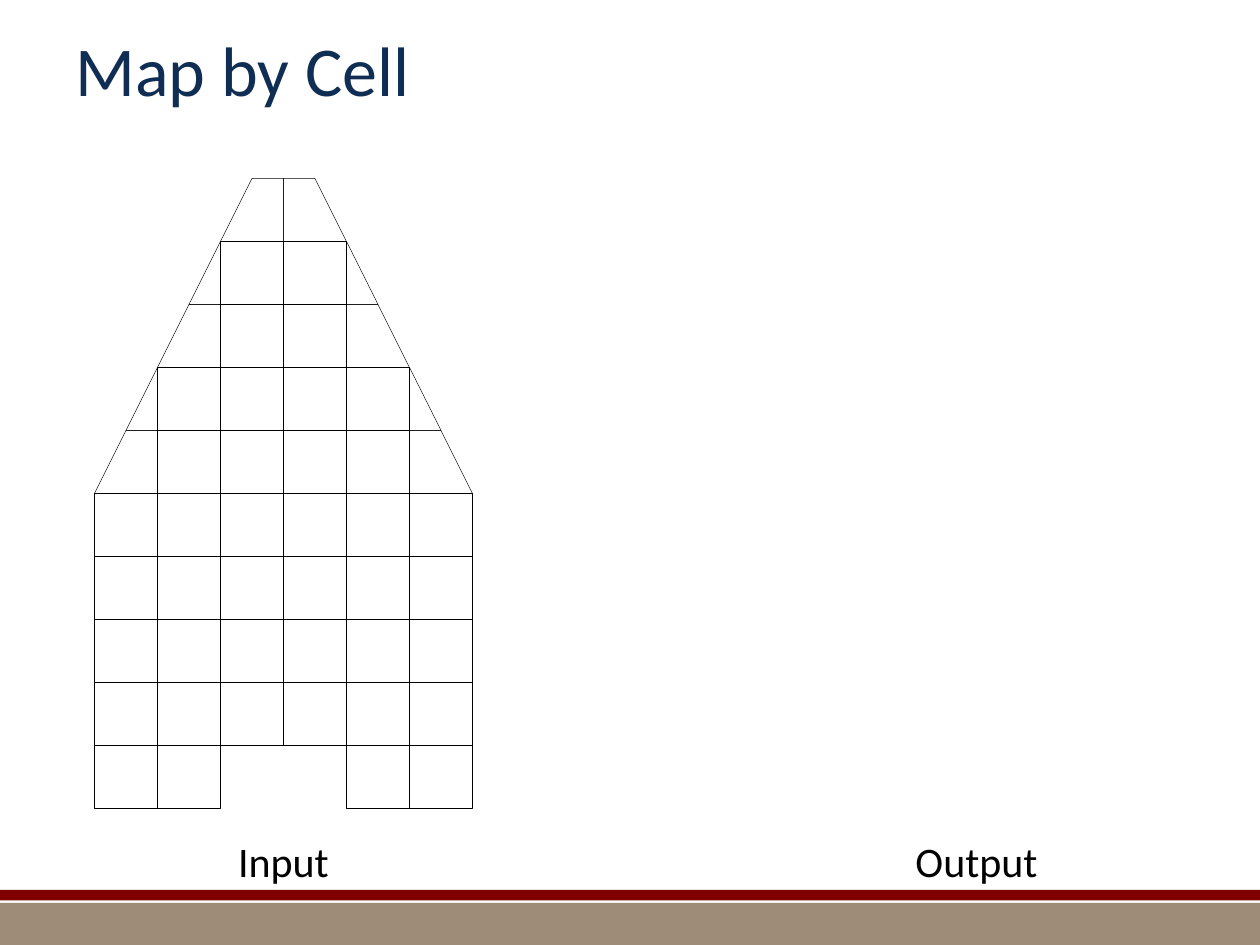
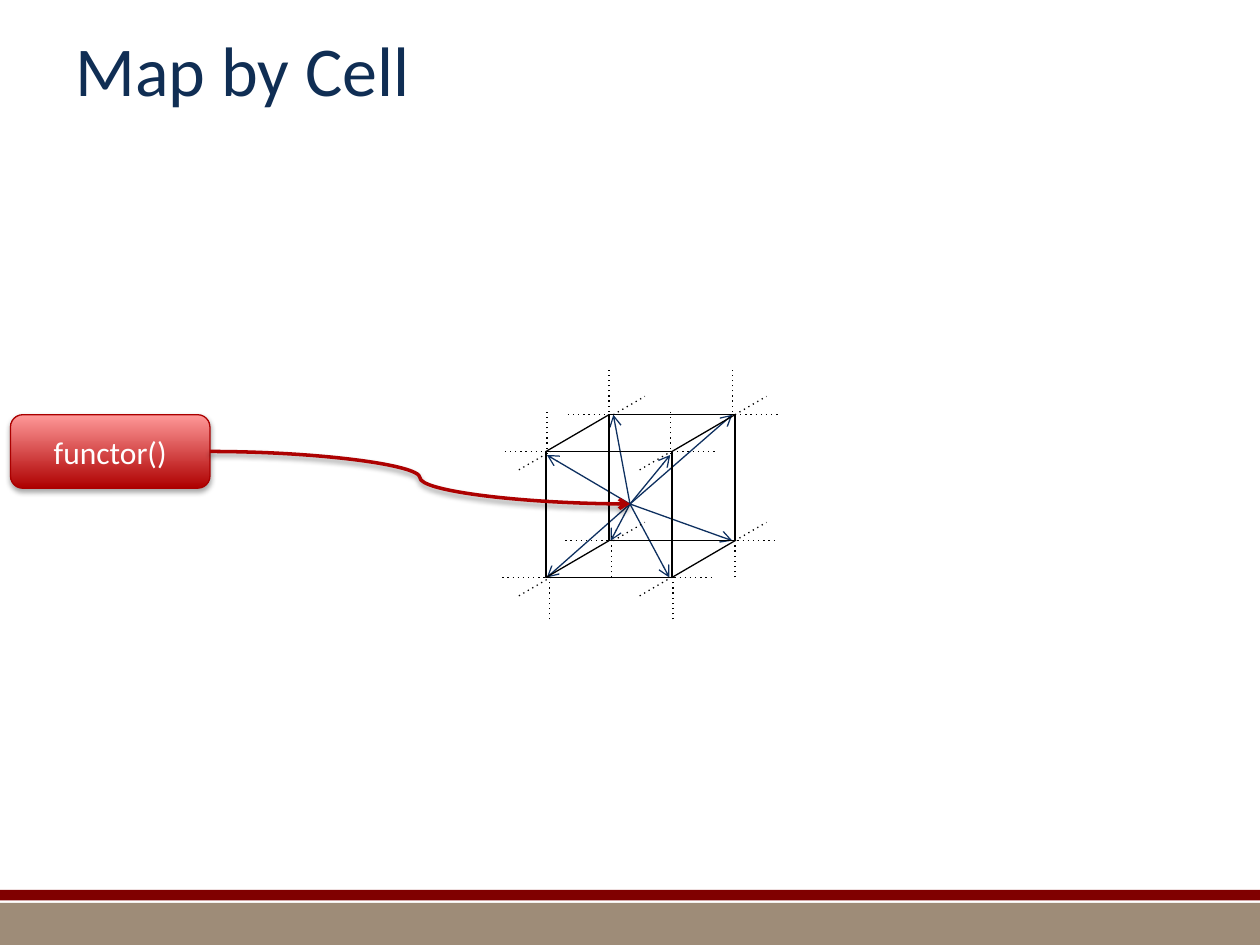
from lxml.etree import SubElement
from pptx import Presentation
from pptx.dml.color import RGBColor
from pptx.enum.shapes import MSO_CONNECTOR as CONN, MSO_SHAPE as SHAPE
from pptx.enum.text import MSO_ANCHOR as ANCHOR, PP_ALIGN as ALIGN
from pptx.oxml.ns import qn
from pptx.util import Emu, Pt

PX = 6350  # EMU per px, 144 px to the inch
WIDTH, HEIGHT = 1440, 1080
FONT = "Calibri"

NAVY = RGBColor(0x10, 0x2E, 0x54)
ARROW_BLUE = RGBColor(0x0E, 0x30, 0x60)
TAN = RGBColor(0x9E, 0x8C, 0x78)
MAROON = RGBColor(0x80, 0x00, 0x00)
RED_DARK = RGBColor(0xAE, 0x00, 0x00)
RED_LIGHT = RGBColor(0xFF, 0x99, 0x99)
RED_EDGE = RGBColor(0xAA, 0x00, 0x00)
RED_CURVE = RGBColor(0xAD, 0x01, 0x01)
BLACK = RGBColor(0, 0, 0)
WHITE = RGBColor(0xFF, 0xFF, 0xFF)

# Shared content
TITLE = "Map by Cell"
BANDS = [(1032, 48, TAN), (1017, 12, MAROON)]  # top, height, colour

# Slide 1: mesh, mirrored about its axis
LABELS = [("Input", 324, 134), ("Output", 1116, 170)]  # text, centre, width
MESH_AXIS, MESH_TOP, CELL = 324, 204, 72
COLUMN_ENDS = [9, 10, 10]  # row after the last square, from the axis outwards

# Slide 2: one cell with its neighbours
FUNCTOR = ("functor()", 12, 474, 228, 84)
CURVE_START, CENTRE = (240, 516), (720, 576)
FRONT, SIDE, DEPTH = (624, 516), 144, (72, -42)
ARROW_TIPS = [(625, 520), (701, 474), (837, 474), (766, 520),
              (698, 618), (625, 660), (837, 618), (765, 660)]
# Dotted extensions: starts, step along the line, shift of the second set
DOTTED = [
    ([(731, 537), (840, 474), (593, 537), (701, 474)], (36, -21), (0, 144)),
    ([(768, 516), (577, 516), (840, 474), (649, 474)], (52, 0), (-3, 144)),
    ([(696, 471), (837, 471), (625, 519), (766, 519)], (0, -48), (3, 189)),
]


def px(*values):
    return [Emu(v * PX) for v in values]


def shift(point, step):
    return point[0] + step[0], point[1] + step[1]


def set_font(p, size, color):
    p.font.name, p.font.size, p.font.color.rgb = FONT, Pt(size), color


def set_line(sp, color, width):
    sp.line.color.rgb, sp.line.width = color, Pt(width)


def add_box(s, kind, x, y, w, h):
    sp = s.shapes.add_shape(kind, *px(x, y, w, h))
    sp.shadow.inherit = False
    return sp


def add_outline_box(s, x, y, size, width):
    sp = add_box(s, SHAPE.RECTANGLE, x, y, size, size)
    sp.fill.background()
    set_line(sp, BLACK, width)


def add_line(s, start, end, color=BLACK, width=0.75, kind=CONN.STRAIGHT,
             dotted=False, arrow=False):
    c = s.shapes.add_connector(kind, *px(*start, *end))
    set_line(c, color, width)
    spPr = c._element.spPr
    ln = spPr.find(qn("a:ln"))
    if dotted:
        SubElement(ln, qn("a:prstDash"), val="dot")
    if arrow:
        SubElement(ln, qn("a:tailEnd"), type="arrow")
    SubElement(spPr, qn("a:effectLst"))
    return c


def drop_shadow(sp, alpha, distance):
    effects = sp._element.spPr.find(qn("a:effectLst"))
    shadow = SubElement(effects, qn("a:outerShdw"), blurRad=str(Pt(3.1)),
                        dist=str(Pt(distance)), dir="5400000", rotWithShape="0")
    color = SubElement(shadow, qn("a:srgbClr"), val=str(BLACK))
    SubElement(color, qn("a:alpha"), val=str(alpha * 1000))


def add_titled_slide(prs):
    s = prs.slides.add_slide(prs.slide_layouts[5])
    for top, height, color in BANDS:
        band = add_box(s, SHAPE.RECTANGLE, 0, top, WIDTH, height)
        band.fill.solid()
        band.fill.fore_color.rgb = color
        band.line.fill.background()
    title = s.shapes.title
    title.left, title.top, title.width, title.height = px(72, 0, 1296, 156)
    tf = title.text_frame
    tf.text, tf.vertical_anchor = TITLE, ANCHOR.MIDDLE
    p = tf.paragraphs[0]
    p.alignment = ALIGN.LEFT
    set_font(p, 40, NAVY)
    return s


def add_cut_cell(s, points, side):
    """Outline given as (distance from the axis, row), in cells."""
    corners = [(int(MESH_AXIS + side * d * CELL), MESH_TOP + row * CELL)
               for d, row in points]
    builder = s.shapes.build_freeform(*corners[0], scale=PX)
    builder.add_line_segments(corners[1:], close=True)
    sp = builder.convert_to_shape()
    sp.shadow.inherit = False
    sp.fill.background()
    set_line(sp, BLACK, 0.25)


def build_mesh_slide(prs):
    s = add_titled_slide(prs)
    for side in (1, -1):
        for k, end in enumerate(COLUMN_ENDS):
            left = MESH_AXIS + (k if side > 0 else -k - 1) * CELL
            for row in range(2 * k + 1, end):
                add_outline_box(s, left, MESH_TOP + row * CELL, CELL, 0.25)
            # Cells cut by the slanted edge
            row = 2 * k
            add_cut_cell(s, [(k, row), (k, row + 1), (k + 1, row + 1),
                             (k + 0.5, row)], side)
            if k:
                add_cut_cell(s, [(k, row - 1), (k, row), (k + 0.5, row)], side)
    for text, centre, width in LABELS:
        tf = s.shapes.add_textbox(*px(centre - width // 2, 948, width, 73)).text_frame
        tf.text, tf.word_wrap = text, False
        p = tf.paragraphs[0]
        p.alignment = ALIGN.CENTER
        set_font(p, 24, BLACK)


def add_functor(s):
    text, *place = FUNCTOR
    sp = add_box(s, SHAPE.ROUNDED_RECTANGLE, *place)
    sp.fill.gradient()
    sp.fill.gradient_angle = 90
    for stop, color in zip(sp.fill.gradient_stops, (RED_DARK, RED_LIGHT)):
        stop.color.rgb = color
    set_line(sp, RED_EDGE, 0.75)
    drop_shadow(sp, 35, 1.8)
    tf = sp.text_frame
    tf.text, tf.vertical_anchor = text, ANCHOR.MIDDLE
    p = tf.paragraphs[0]
    p.alignment = ALIGN.CENTER
    set_font(p, 18, WHITE)


def build_functor_slide(prs):
    s = add_titled_slide(prs)
    for tip in ARROW_TIPS:
        add_line(s, CENTRE, tip, ARROW_BLUE, arrow=True)
    add_functor(s)
    # Cube: two faces joined by four depth edges
    for corner in (FRONT, shift(FRONT, DEPTH)):
        add_outline_box(s, *corner, SIDE, 0.75)
    for dx in (0, SIDE):
        for dy in (0, SIDE):
            corner = shift(FRONT, (dx, dy))
            add_line(s, corner, shift(corner, DEPTH))
    # Edges running on into the neighbouring cells
    for starts, step, second in DOTTED:
        for offset in ((0, 0), second):
            for point in starts:
                start = shift(point, offset)
                add_line(s, start, shift(start, step), dotted=True)
    curve = add_line(s, CURVE_START, CENTRE, RED_CURVE, 2, CONN.CURVE, arrow=True)
    drop_shadow(curve, 38, 1.6)


def main():
    prs = Presentation()
    prs.slide_width, prs.slide_height = px(WIDTH, HEIGHT)
    build_mesh_slide(prs)
    build_functor_slide(prs)
    prs.save("out.pptx")


if __name__ == "__main__":
    main()
